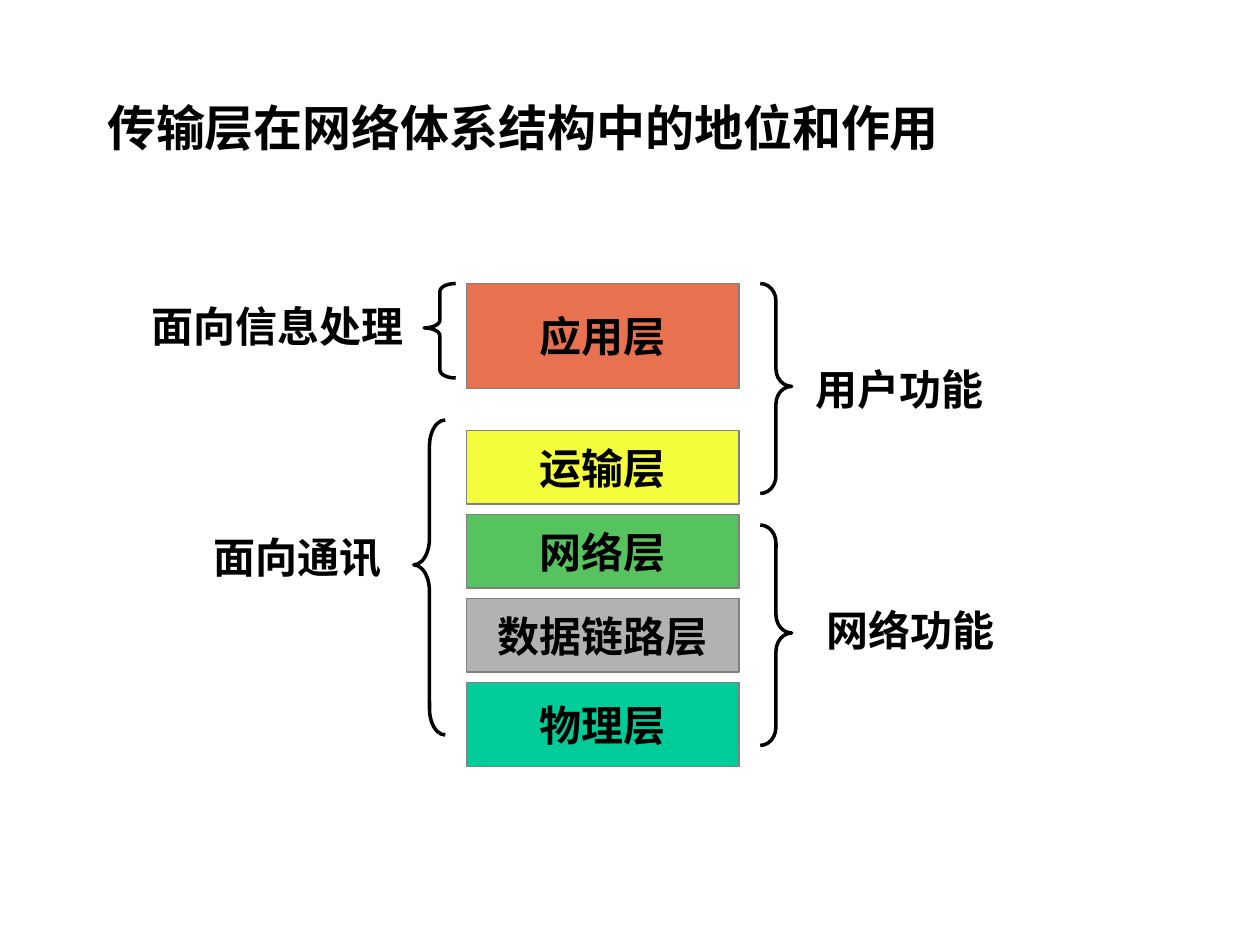
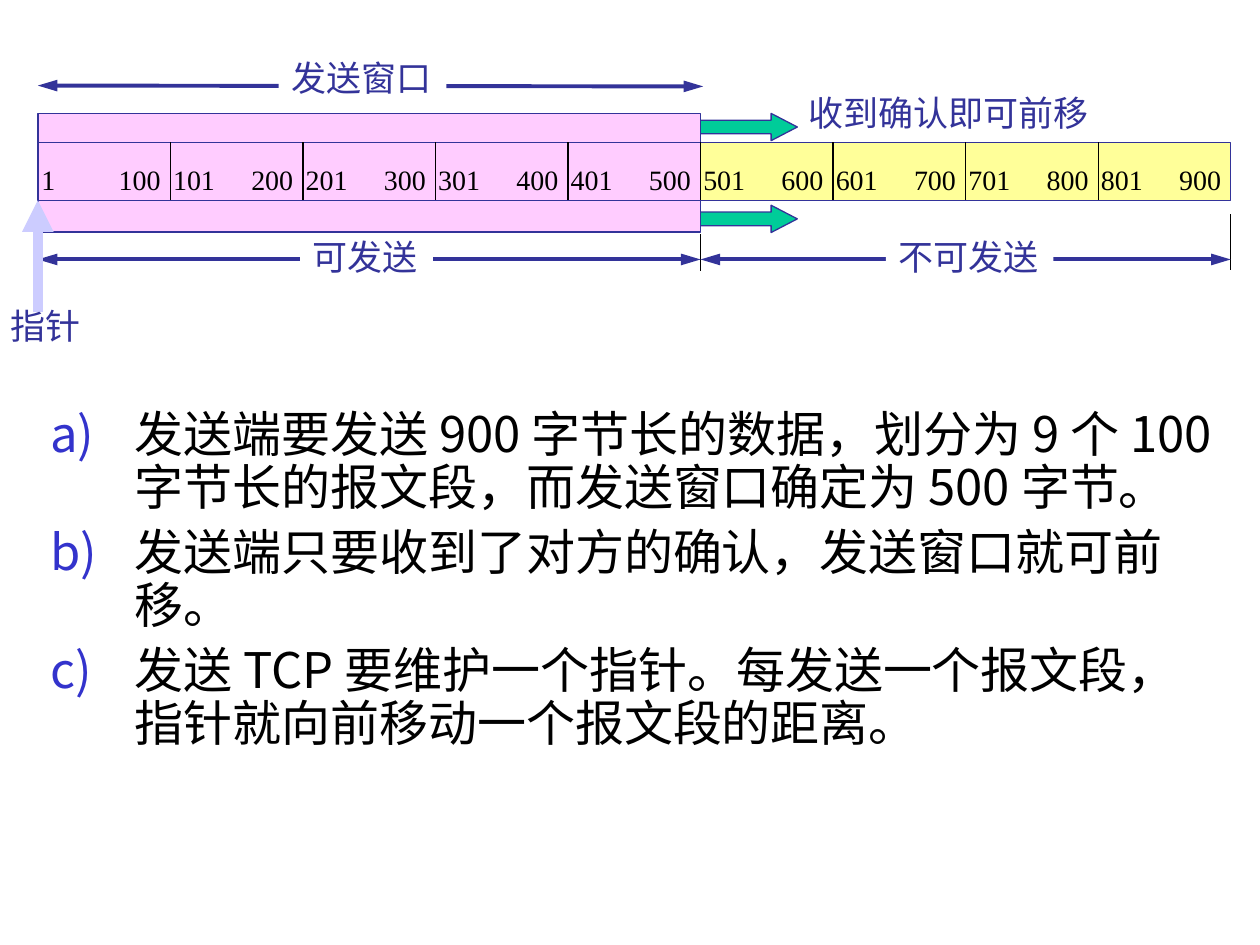
from dataclasses import dataclass

from pptx import Presentation
from pptx.dml.color import RGBColor
from pptx.enum.shapes import MSO_CONNECTOR, MSO_SHAPE
from pptx.enum.text import MSO_ANCHOR, MSO_AUTO_SIZE, PP_ALIGN
from pptx.oxml.ns import qn
from pptx.util import Inches, Pt
from lxml.etree import SubElement

SANS, SERIF = "Noto Sans CJK SC", "Times New Roman"
BLACK, WHITE, GREY = "000000", "FFFFFF", "808080"
NAVY, TEAL, BULLET = "333399", "00CC99", "3333CC"
PINK, YELLOW, LILAC = "FFCCFF", "FFFF99", "CCCCFF"


@dataclass
class Grid:
    """Turns columns and rows into slide lengths, all in inches."""
    left: float
    top: float
    col: float
    row: float

    def x(self, c):
        """Return the position of a column."""
        return Inches(self.left + c * self.col)

    def y(self, r):
        """Return the position of a row."""
        return Inches(self.top + r * self.row)

    def box(self, c, r, w, h):
        """Return left, top, width and height of a cell range."""
        return self.x(c), self.y(r), Inches(w * self.col), Inches(h * self.row)


LAYERS = Grid(3.7, 0, 1 / 12, 1 / 12)
SEGMENTS = Grid(0.3, 0.9, 1.052, 0.23)
SHARES = Grid(0, 0, 10, 7.5)


def rgb(color):
    """Return a colour from its hex string."""
    return RGBColor.from_string(color)


def write(tf, text, size=24, color=BLACK, font=SANS, bold=False,
          align=PP_ALIGN.LEFT, anchor=MSO_ANCHOR.TOP, spacing=1.0,
          before=0, wrap=False, numbered=False):
    """Fill a text frame, one paragraph for each line of the text."""
    tf.word_wrap = wrap
    tf.vertical_anchor = anchor
    for i, line in enumerate(text.split("\n")):
        p = tf.add_paragraph() if i else tf.paragraphs[0]
        if numbered:
            number(p)
        p.alignment = align
        p.line_spacing = spacing
        p.space_before = Pt(before if i else 0)
        r = p.add_run()
        r.text = line
        r.font.size, r.font.bold, r.font.name = Pt(size), bold, font
        r.font.color.rgb = rgb(color)
        SubElement(r.font._element, qn("a:ea"), typeface=font)


def number(p):
    """Give a paragraph a coloured a) b) c) number and a hanging indent."""
    pPr = p._p.get_or_add_pPr()
    pPr.set("marL", str(Inches(0.67)))
    pPr.set("indent", str(-Inches(0.67)))
    pPr.set("hangingPunct", "0")
    clr = SubElement(pPr, qn("a:buClr"))
    SubElement(clr, qn("a:srgbClr"), val=BULLET)
    SubElement(pPr, qn("a:buFont"), typeface=SANS)
    SubElement(pPr, qn("a:buAutoNum"), type="alphaLcParenR")


def shape(slide, kind, box, fill=None, line=None, width=0.75, adj=()):
    """Add a preset shape without shadow."""
    sp = slide.shapes.add_shape(kind, *box)
    sp.shadow.inherit = False
    if fill:
        sp.fill.solid()
        sp.fill.fore_color.rgb = rgb(fill)
    else:
        sp.fill.background()
    if line:
        sp.line.color.rgb = rgb(line)
        sp.line.width = Pt(width)
    else:
        sp.line.fill.background()
    for i, value in enumerate(adj):
        sp.adjustments[i] = value
    return sp


def brace(slide, kind, col, row, rows, tip):
    """Add a curly brace three columns wide whose tip is at a share of its height."""
    shape(slide, kind, LAYERS.box(col, row, 3, rows), line=BLACK, width=2,
          adj=(rows / 36, tip))


def label(slide, grid, col, row, text, size=24, spacing=1.0, fill=None, **fmt):
    """Add a one-line text box centred on a column and sized to its text."""
    ems = sum(0.5 if ch.isdigit() else 1 for ch in text)
    w = Inches(ems * size / 72 + 0.22)
    h = Inches(1.2 * size * spacing / 72 + 0.1)
    sp = slide.shapes.add_textbox(grid.x(col) - w // 2, grid.y(row), w, h)
    if fill:
        sp.fill.solid()
        sp.fill.fore_color.rgb = rgb(fill)
    write(sp.text_frame, text, size=size, spacing=spacing, **fmt)
    sp.text_frame.auto_size = MSO_AUTO_SIZE.SHAPE_TO_FIT_TEXT


def line(slide, start, end, color=BLACK, width=0.75, heads=(), length="lg"):
    """Add a straight line between two points of the segment grid."""
    (c1, r1), (c2, r2) = start, end
    g = SEGMENTS
    cx = slide.shapes.add_connector(MSO_CONNECTOR.STRAIGHT,
                                    g.x(c1), g.y(r1), g.x(c2), g.y(r2))
    cx.line.color.rgb = rgb(color)
    cx.line.width = Pt(width)
    for end_name in heads:
        SubElement(cx.line._get_or_add_ln(), qn(f"a:{end_name}"),
                   type="triangle", w="med", len=length)
    SubElement(cx._element.spPr, qn("a:effectLst"))


def place(sp, box):
    """Move and size a placeholder."""
    sp.left, sp.top, sp.width, sp.height = box


def build_layers(prs):
    """Build the slide on the place of the transport layer."""
    s = prs.slides.add_slide(prs.slide_layouts[5])
    title = s.shapes.title
    place(title, SHARES.box(0.075, 0.097, 0.925, 0.076))
    write(title.text_frame, "传输层在网络体系结构中的地位和作用",
          size=28, bold=True, wrap=True)

    for name, row, rows, fill in (
            ("应用层", 27, 10, "E87150"), ("运输层", 41, 7, "F4FD3B"),
            ("网络层", 49, 7, "57C35F"), ("数据链路层", 57, 7, "B2B2B2"),
            ("物理层", 65, 8, TEAL)):
        sp = shape(s, MSO_SHAPE.RECTANGLE, LAYERS.box(0, row, 26, rows), fill, GREY)
        write(sp.text_frame, name, bold=True, align=PP_ALIGN.CENTER,
              anchor=MSO_ANCHOR.MIDDLE)

    left, right = MSO_SHAPE.LEFT_BRACE, MSO_SHAPE.RIGHT_BRACE
    for kind, col, row, rows, tip in (
            (left, -4, 27, 9, 0.47), (left, -5, 40, 30, 0.46),
            (right, 28, 27, 20, 0.49), (right, 28, 50, 21, 0.49)):
        brace(s, kind, col, row, rows, tip)

    for text, col, row in (("面向信息处理", -18, 28), ("面向通讯", -16.1, 50),
                           ("用户功能", 41.3, 34), ("网络功能", 42.3, 57)):
        label(s, LAYERS, col, row, text, bold=True, align=PP_ALIGN.CENTER)


def build_window(prs):
    """Build the slide on the sliding send window."""
    s = prs.slides.add_slide(prs.slide_layouts[1])
    title = s.shapes.title._element
    title.getparent().remove(title)
    g, rect = SEGMENTS, MSO_SHAPE.RECTANGLE
    caption = dict(size=20, color=NAVY)
    both = dict(color=NAVY, width=2.25, heads=("headEnd", "tailEnd"))

    shape(s, rect, g.box(5, 1, 4, 2), YELLOW)
    for row in (0, 3.17):
        shape(s, MSO_SHAPE.RIGHT_ARROW, g.box(4.94, row, 0.79, 0.94), TEAL, NAVY,
              adj=(0.5, 0.96))
    label(s, g, 6.88, -0.74, "收到确认即可前移", spacing=0.85, **caption)
    shape(s, rect, g.box(0, 0, 5, 4.1), PINK, NAVY, 1)
    shape(s, rect, g.box(0, 1, 9, 2), line=NAVY)

    for i in range(9):
        if i:
            line(s, (i, 1), (i, 3))
        first, last = i * 100 + 1, (i + 1) * 100
        for col, value in ((i + (0.19 if i else 0.09), first), (i + 0.78, last)):
            label(s, g, col, 1.48, str(value), size=16, font=SERIF)

    line(s, (0, -0.96), (5.02, -0.93), **both)
    label(s, g, 2.45, -2.17, "发送窗口", fill=WHITE, **caption)
    line(s, (5, 4.17), (5, 5.43))
    line(s, (9, 3.48), (9, 5.39))
    for start, end, middle, text in ((0, 5, 2.48, "可发送"), (5, 9, 7.03, "不可发送")):
        line(s, (start, 5.04), (end, 5.04), **both)
        label(s, g, middle, 4.22, text, spacing=0.85, fill=WHITE, **caption)
    line(s, (0, 6.87), (0, 3), LILAC, 6, ("tailEnd",), "med")
    label(s, g, 0.07, 6.6, "指针", spacing=0.85, **caption)

    body = s.placeholders[1]
    place(body, SHARES.box(0.03, 0.427, 0.949, 0.419))
    write(body.text_frame,
          "发送端要发送 900 字节长的数据，划分为 9 个 100 字节长的报文段，"
          "而发送窗口确定为 500 字节。\n"
          "发送端只要收到了对方的确认，发送窗口就可前移。\n"
          "发送 TCP 要维护一个指针。每发送一个报文段，"
          "指针就向前移动一个报文段的距离。",
          size=28, spacing=0.9, before=7, wrap=True, numbered=True)


def main():
    """Build both slides and save the file."""
    prs = Presentation()
    prs.slide_width, prs.slide_height = Inches(10), Inches(7.5)
    build_layers(prs)
    build_window(prs)
    prs.save("out.pptx")


if __name__ == "__main__":
    main()
